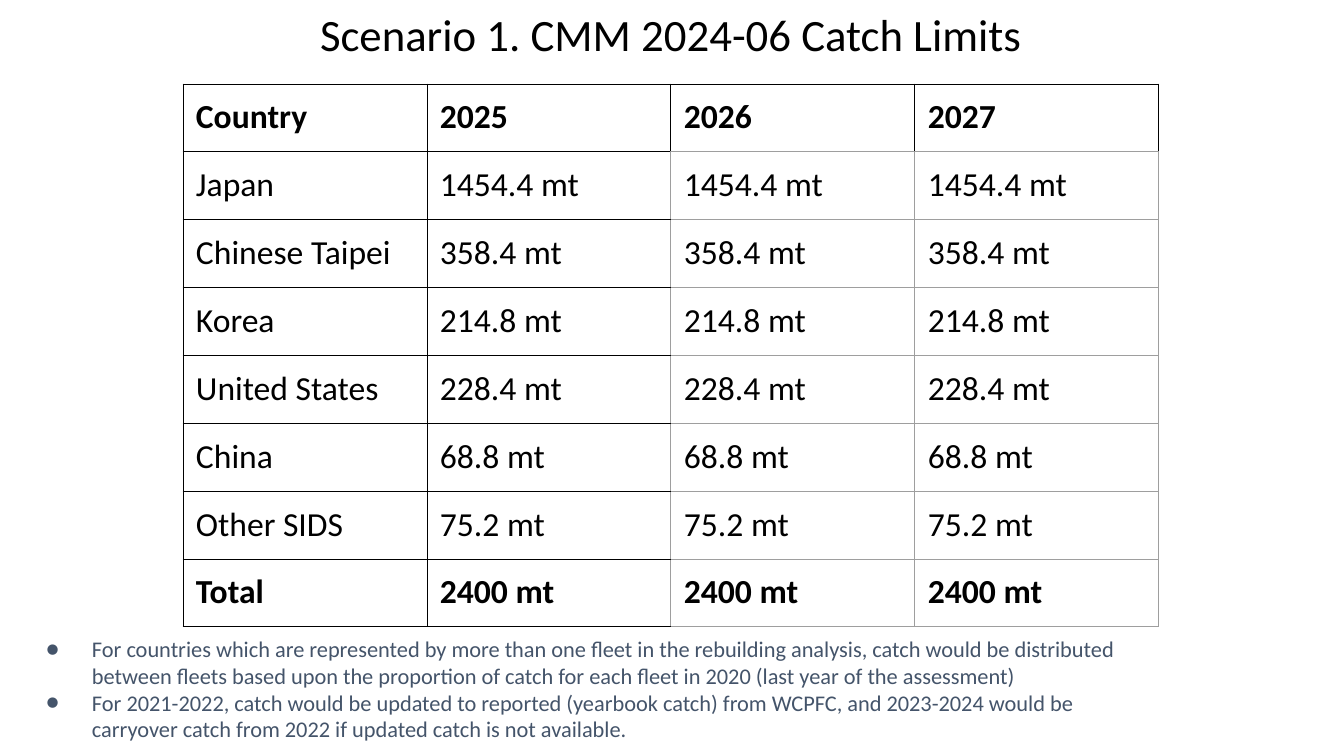
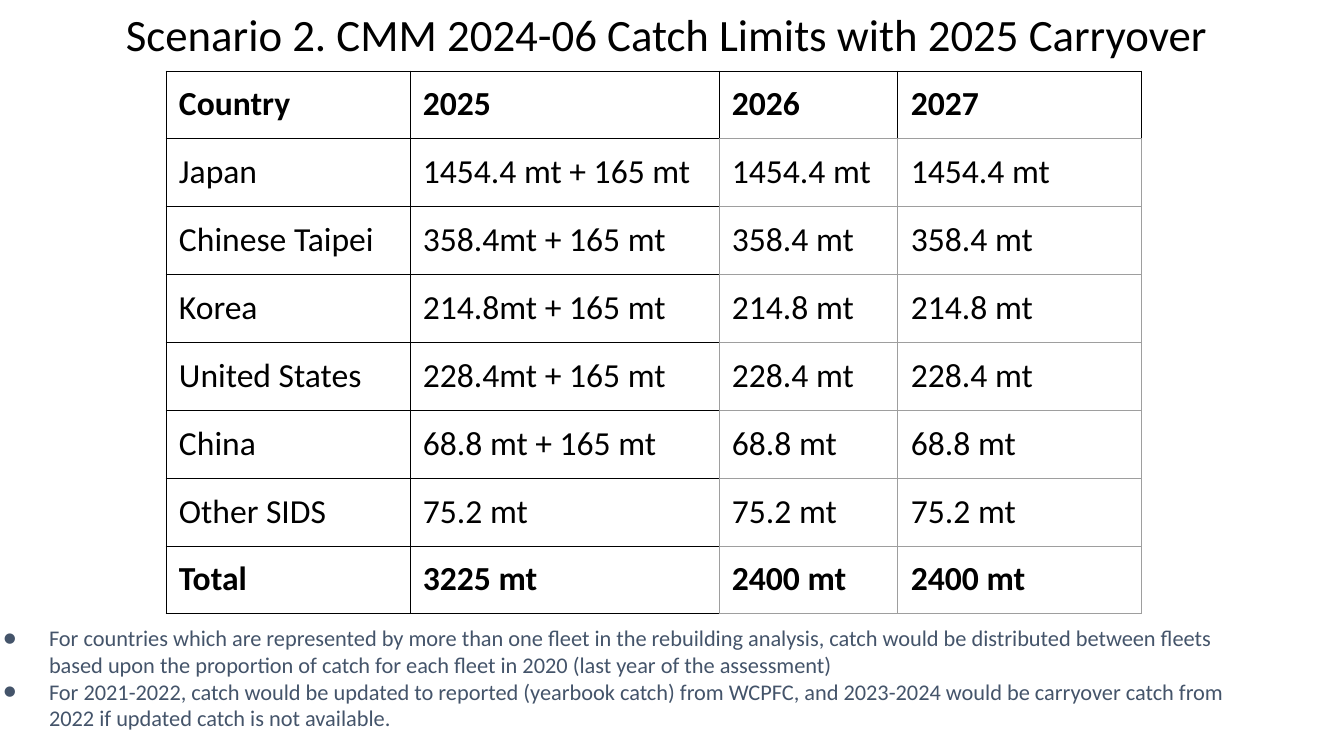
"""Build two slides of catch limit scenarios, each a table with notes."""
from lxml import etree
from pptx import Presentation
from pptx.dml.color import RGBColor
from pptx.enum.text import MSO_ANCHOR, MSO_AUTO_SIZE, PP_ALIGN
from pptx.oxml.ns import qn
from pptx.util import Pt

TOP = MSO_ANCHOR.TOP
NO_FIT = MSO_AUTO_SIZE.NONE
LEFT, CENTER = PP_ALIGN.LEFT, PP_ALIGN.CENTER
TITLE_AND_CONTENT = 1

FONT = "Calibri"
BLACK, GREY, SLATE = "000000", "9E9E9E", "44546A"
SLIDE_WIDTH, SLIDE_HEIGHT = 1344, 756
TITLE_HEIGHT, TABLE_HEIGHT = 84, 543
INSET, NOTE_INDENT, NOTE_HANGING = 13, 67, 46
BORDER_POINTS = 0.75

HEADER = ["Country", "2025", "2026", "2027"]
LIMITS = [
    ("Japan", "1454.4 mt"),
    ("Chinese Taipei", "358.4 mt"),
    ("Korea", "214.8 mt"),
    ("United States", "228.4 mt"),
    ("China", "68.8 mt"),
    ("Other SIDS", "75.2 mt"),
    ("Total", "2400 mt"),
]
NOTES = [
    "For countries which are represented by more than one fleet in the rebuilding analysis, "
    "catch would be distributed between fleets based upon the proportion of catch for each "
    "fleet in 2020 (last year of the assessment)",
    "For 2021-2022, catch would be updated to reported (yearbook catch) from WCPFC, and "
    "2023-2024 would be carryover catch from 2022 if updated catch is not available.",
]
SCENARIOS = [
    {
        "title": "Scenario 1. CMM 2024-06 Catch Limits",
        "title_span": (45, 1252),
        "first_year": [limit for _, limit in LIMITS],
        "table_corner": (183, 84),
        "columns": [244, 244, 244, 244],
        "notes_area": (12, 622, 1148, 134),
    },
    {
        "title": "Scenario 2. CMM 2024-06 Catch Limits with 2025 Carryover",
        "title_span": (-10, 1354),
        "first_year": [
            "1454.4 mt + 165 mt", "358.4mt + 165 mt", "214.8mt + 165 mt",
            "228.4mt + 165 mt", "68.8 mt + 165 mt", "75.2 mt", "3225 mt",
        ],
        "table_corner": (166, 71),
        "columns": [244, 309, 179, 244],
        "notes_area": (-31, 611, 1307, 138),
    },
]


def px(length):
    return round(length * 914400 / 100.8)


def color(value):
    return RGBColor.from_string(value)


def style_paragraph(paragraph, size, ink, bold=False, align=LEFT):
    paragraph.alignment = align
    paragraph.space_before = Pt(0)
    for span in paragraph.runs:
        span.font.name = FONT
        span.font.size = Pt(size)
        span.font.bold = bold
        span.font.color.rgb = color(ink)


def place(box, area):
    box.left, box.top, box.width, box.height = [px(length) for length in area]
    frame = box.text_frame
    frame.margin_left = frame.margin_right = px(INSET)
    frame.margin_top = frame.margin_bottom = px(INSET)
    frame.vertical_anchor = TOP
    frame.word_wrap = True
    frame.auto_size = NO_FIT
    return frame


def add_title(page, scenario):
    left, width = scenario["title_span"]
    frame = place(page.shapes.title, (left, 0, width, TITLE_HEIGHT))
    frame.text = scenario["title"]
    paragraph = frame.paragraphs[0]
    paragraph.line_spacing = 0.9
    style_paragraph(paragraph, 32, BLACK, align=CENTER)


def add_bullet(paragraph):
    properties = paragraph._p.get_or_add_pPr()
    properties.set("marL", str(px(NOTE_INDENT)))
    properties.set("indent", str(-px(NOTE_HANGING)))
    bullet_color = etree.SubElement(properties, qn("a:buClr"))
    etree.SubElement(bullet_color, qn("a:srgbClr"), val=SLATE)
    etree.SubElement(properties, qn("a:buFont"), typeface=FONT)
    etree.SubElement(properties, qn("a:buChar"), char="●")


def add_notes(page, area):
    frame = place(page.placeholders[1], area)
    frame.text = "\n".join(NOTES)
    for paragraph in frame.paragraphs:
        add_bullet(paragraph)
        style_paragraph(paragraph, 16, SLATE)


def border_colors(row, column):
    if row == 0:
        return {"L": BLACK, "R": BLACK, "T": BLACK, "B": BLACK if column < 2 else GREY}
    edge = BLACK if column < 2 else GREY
    return {"L": edge, "R": BLACK if column == 0 else GREY, "T": edge, "B": edge}


def add_borders(cell, colors):
    properties = cell._tc.get_or_add_tcPr()
    for side, ink in colors.items():
        line = etree.SubElement(properties, qn(f"a:ln{side}"), w=str(Pt(BORDER_POINTS)))
        fill = etree.SubElement(line, qn("a:solidFill"))
        etree.SubElement(fill, qn("a:srgbClr"), val=ink)


def add_limits_table(page, scenario):
    rows = [HEADER] + [
        [country, first, limit, limit]
        for (country, limit), first in zip(LIMITS, scenario["first_year"])
    ]
    widths = scenario["columns"]
    left, top = scenario["table_corner"]
    table = page.shapes.add_table(
        len(rows), len(widths), px(left), px(top), px(sum(widths)), px(TABLE_HEIGHT)
    ).table
    table.first_row = table.horz_banding = False
    for column, width in zip(table.columns, widths):
        column.width = px(width)
    for row in table.rows:
        row.height = px(TABLE_HEIGHT / len(rows))
    for row_index, values in enumerate(rows):
        bold = row_index in (0, len(rows) - 1)
        for column_index, value in enumerate(values):
            cell = table.cell(row_index, column_index)
            cell.text_frame.text = value
            cell.margin_left = cell.margin_right = px(INSET)
            cell.margin_top = cell.margin_bottom = px(INSET)
            add_borders(cell, border_colors(row_index, column_index))
            cell.fill.background()
            style_paragraph(cell.text_frame.paragraphs[0], 24, BLACK, bold)


def main():
    deck = Presentation()
    deck.slide_width, deck.slide_height = px(SLIDE_WIDTH), px(SLIDE_HEIGHT)
    for scenario in SCENARIOS:
        page = deck.slides.add_slide(deck.slide_layouts[TITLE_AND_CONTENT])
        add_title(page, scenario)
        add_limits_table(page, scenario)
        add_notes(page, scenario["notes_area"])
    deck.save("out.pptx")


if __name__ == "__main__":
    main()
